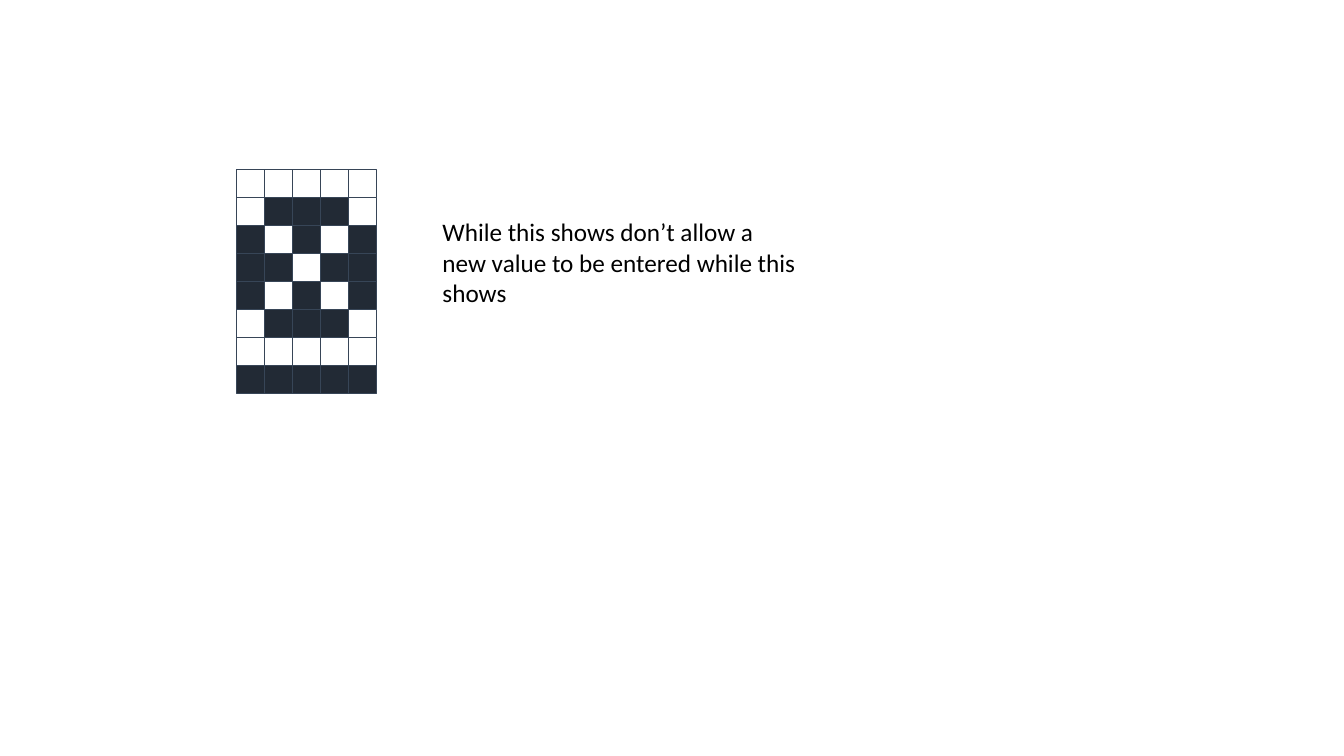
from pptx import Presentation
from pptx.dml.color import RGBColor
from pptx.enum.shapes import MSO_SHAPE
from pptx.enum.text import MSO_AUTO_SIZE
from pptx.util import Inches, Pt

WHITE = RGBColor(0xFF, 0xFF, 0xFF)
BLACK = RGBColor(0x00, 0x00, 0x00)
DARK = RGBColor(0x22, 0x2A, 0x35)
OUTLINE = RGBColor(0x37, 0x45, 0x57)

PIXEL_ROWS = [
    ".....",
    ".###.",
    "#.#.#",
    "##.##",
    "#.#.#",
    ".###.",
    ".....",
    "#####",
]


class SlideBuilder:
    def __init__(self, slide, font_name="Calibri", font_size=18):
        self.slide = slide
        self.font_name = font_name
        self.font_size = Pt(font_size)

    def pixel_grid(self, rows, left, top, height):
        """Draw one grouped square per character; '#' marks a dark one."""
        group = self.slide.shapes.add_group_shape()
        side = Inches(height) / len(rows)
        for row, pixels in enumerate(rows):
            for column, pixel in enumerate(pixels):
                square = group.shapes.add_shape(
                    MSO_SHAPE.RECTANGLE,
                    round(Inches(left) + column * side),
                    round(Inches(top) + row * side),
                    round(side), round(side))
                square.shadow.inherit = False
                square.fill.solid()
                square.fill.fore_color.rgb = DARK if pixel == "#" else WHITE
                square.line.color.rgb = OUTLINE
                square.line.width = Pt(0.75)

    def text(self, wording, left, top, width, height):
        box = self.slide.shapes.add_textbox(
            Inches(left), Inches(top), Inches(width), Inches(height))
        frame = box.text_frame
        frame.word_wrap = True
        frame.auto_size = MSO_AUTO_SIZE.SHAPE_TO_FIT_TEXT
        para = frame.paragraphs[0]
        para.text = wording
        para.font.name = self.font_name
        para.font.size = self.font_size
        para.font.color.rgb = BLACK


def main():
    deck = Presentation()
    deck.slide_width = Inches(13.33)
    deck.slide_height = Inches(7.5)
    blank_layout = deck.slide_layouts[6]
    builder = SlideBuilder(deck.slides.add_slide(blank_layout))
    builder.pixel_grid(PIXEL_ROWS, 2.35, 1.68, 2.22)
    builder.text(
        "While this shows don’t allow a new value to be entered while this shows",
        4.29, 2.1, 3.73, 1.01)
    deck.save("out.pptx")


if __name__ == "__main__":
    main()
